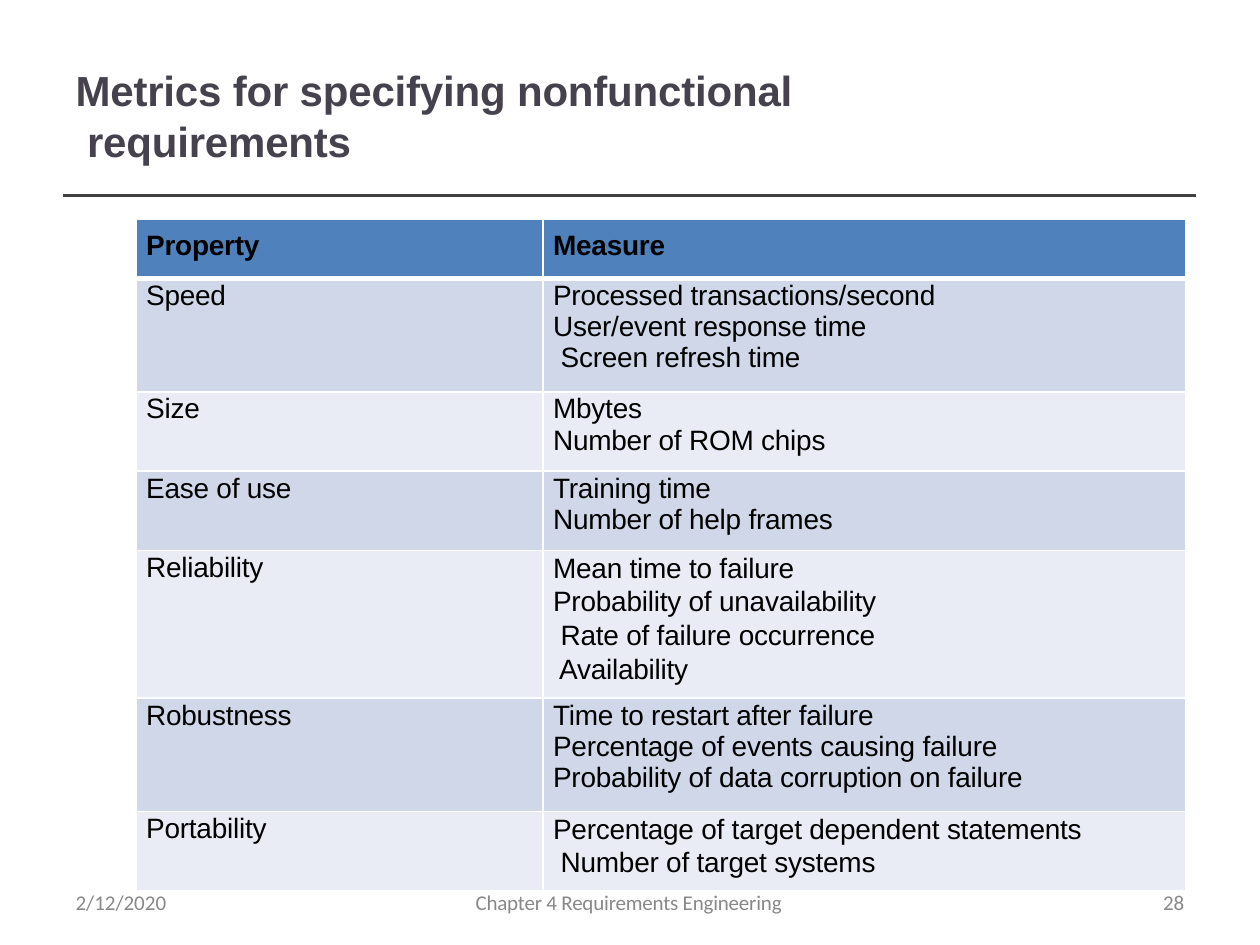
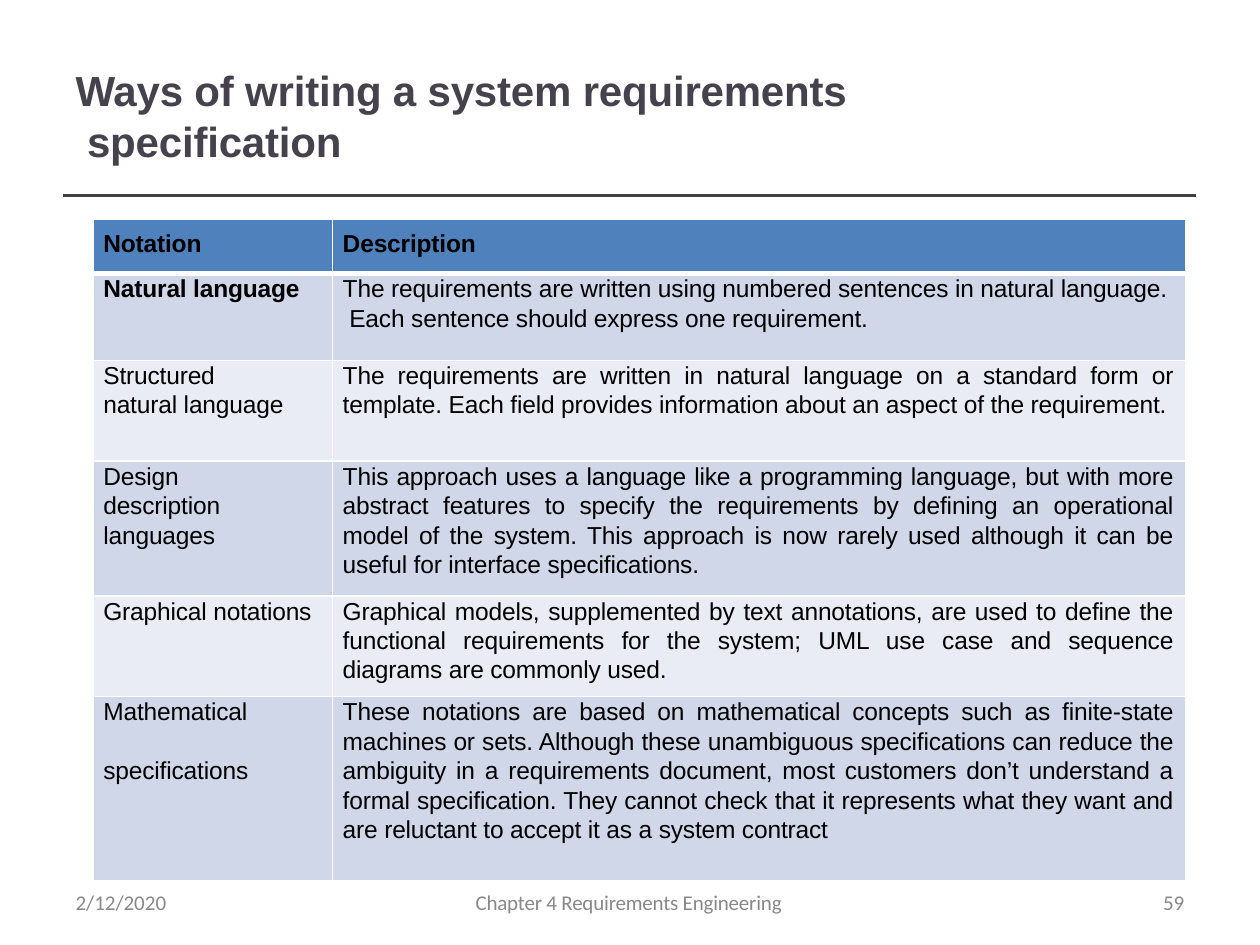
import pptx
import pptx.dml.color
import pptx.enum.shapes
import pptx.enum.text
import pptx.oxml.ns
import pptx.util
from lxml import etree

Inches, Pt = pptx.util.Inches, pptx.util.Pt
RGBColor = pptx.dml.color.RGBColor
PP_ALIGN, MSO_ANCHOR = pptx.enum.text.PP_ALIGN, pptx.enum.text.MSO_ANCHOR
qn = pptx.oxml.ns.qn

TITLE_INK = RGBColor(0x46, 0x42, 0x4D)
RULE_INK = RGBColor(0x40, 0x40, 0x40)
FOOTER_INK = RGBColor(0x88, 0x88, 0x88)
BLACK = RGBColor(0x00, 0x00, 0x00)
WHITE = RGBColor(0xFF, 0xFF, 0xFF)
HEADER_FILL = RGBColor(0x4F, 0x81, 0xBC)
BAND_FILLS = RGBColor(0xD0, 0xD7, 0xE8), RGBColor(0xE9, 0xEC, 0xF4)

DATE = "2/12/2020"
CHAPTER = "Chapter 4 Requirements Engineering"

# A cell is a list of paragraphs; "\v" breaks a line inside a paragraph.
METRICS = {
    "title": "Metrics for specifying nonfunctional\v requirements",
    "page": "28",
    "left": 1.08, "columns": [3.23, 5.1],
    "heights": [0.47, 0.9, 0.63, 0.63, 1.17, 0.9, 0.63],
    "size": 16, "first_line": 18.9, "loose_line": 19.2, "next_line": None,
    "bold_cells": [], "justified": False,
    "rows": [
        (["Property"], ["Measure"]),
        (["Speed"], ["Processed transactions/second",
                     "User/event response time\v Screen refresh time"]),
        (["Size"], ["Mbytes", "Number of ROM chips"]),
        (["Ease of use"], ["Training time", "Number of help frames"]),
        (["Reliability"], ["Mean time to failure\vProbability of unavailability"
                           "\v Rate of failure occurrence\v Availability"]),
        (["Robustness"], ["Time to restart after failure",
                          "Percentage of events causing failure"
                          "\vProbability of data corruption on failure"]),
        (["Portability"], ["Percentage of target dependent statements"
                           "\v Number of target systems"]),
    ],
}
NOTATIONS = {
    "title": "Ways of writing a system requirements\v specification",
    "page": "59",
    "left": 0.74, "columns": [1.9, 6.77],
    "heights": [0.43, 0.69, 0.8, 1.07, 0.8, 1.46],
    "size": 14, "first_line": 16.8, "loose_line": 16.8, "next_line": 16.8,
    "bold_cells": ["Natural language"], "justified": True,
    "rows": [
        (["Notation"], ["Description"]),
        (["Natural language"],
         ["The requirements are written using numbered sentences in natural language."
          "\v Each sentence should express one requirement."]),
        (["Structured\vnatural language"],
         ["The requirements are written in natural language on a standard form or "
          "template. Each field provides information about an aspect of the "
          "requirement."]),
        (["Design\vdescription\vlanguages"],
         ["This approach uses a language like a programming language, but with more "
          "abstract features to specify the requirements by defining an operational "
          "model of the system. This approach is now rarely used although it can be "
          "useful for interface specifications."]),
        (["Graphical notations"],
         ["Graphical models, supplemented by text annotations, are used to define the "
          "functional requirements for the system; UML use case and sequence "
          "diagrams are commonly used."]),
        (["Mathematical", "specifications"],
         ["These notations are based on mathematical concepts such as finite-state "
          "machines or sets. Although these unambiguous specifications can reduce "
          "the ambiguity in a requirements document, most customers don’t understand "
          "a formal specification. They cannot check that it represents what they want "
          "and are reluctant to accept it as a system contract"]),
    ],
}

TABLE_TOP = 1.74
RULE_TOP = 1.55
FOOTER_TOP = 7.07


def style(paragraph, size, color, face="Arial", bold=False, tracking=-0.1):
    font = paragraph.font
    font.name, font.size, font.bold = face, Pt(size), bold
    font.color.rgb = color
    paragraph._p.get_or_add_pPr().get_or_add_defRPr().set("spc", str(round(tracking * 100)))


def add_line_of_text(slide, text, left, top, width, height):
    """Add a text box without insets and return its one paragraph."""
    box = slide.shapes.add_textbox(*map(Inches, (left, top, width, height)))
    frame = box.text_frame
    frame.margin_left = frame.margin_right = frame.margin_top = frame.margin_bottom = 0
    frame.word_wrap = True
    frame.vertical_anchor = MSO_ANCHOR.MIDDLE
    frame.text = text
    return frame.paragraphs[0]


def add_frame(slide, title, page):
    """Add the title, the rule under it and the footers."""
    style(add_line_of_text(slide, title, 0.6, 0.5, 8, 0.83), 24, TITLE_INK, bold=True)
    rule = slide.shapes.add_connector(
        pptx.enum.shapes.MSO_CONNECTOR.STRAIGHT,
        *map(Inches, (0.5, RULE_TOP, 9.49, RULE_TOP)))
    rule.line.color.rgb, rule.line.width = RULE_INK, Pt(2)
    etree.SubElement(rule._element.spPr, qn("a:effectLst"))
    footers = [(DATE, 0.6, 0.9, PP_ALIGN.LEFT, 0),
               (CHAPTER, 3.5, 2.98, PP_ALIGN.CENTER, -0.1),
               (page, 8.8, 0.6, PP_ALIGN.RIGHT, 0)]
    for text, left, width, align, tracking in footers:
        footer = add_line_of_text(slide, text, left, FOOTER_TOP, width, 0.2)
        footer.alignment, footer.line_spacing = align, Pt(12.4)
        style(footer, 12, FOOTER_INK, "Calibri", tracking=tracking)


def set_borders(cell, top, bottom):
    properties = cell._tc.get_or_add_tcPr()
    edges = [("a:lnL", 1), ("a:lnR", 1), ("a:lnT", top), ("a:lnB", bottom)]
    for place, (tag, width) in enumerate(edges):
        edge = etree.Element(qn(tag), w=str(Pt(width)))
        fill = etree.SubElement(edge, qn("a:solidFill"))
        etree.SubElement(fill, qn("a:srgbClr"), val=str(WHITE))
        properties.insert(place, edge)


def fill_cell(cell, paragraphs, row, column, content):
    header = row == 0
    wrapped = content["justified"] and column == 1 and not header and "\v" not in paragraphs[0]
    cell.margin_left = Inches(0.08)
    cell.margin_right = Inches(0.1 if wrapped else 0)
    cell.margin_top = Inches(0.09 if header else 0)
    cell.margin_bottom = 0
    cell.fill.solid()
    cell.fill.fore_color.rgb = HEADER_FILL if header else BAND_FILLS[(row - 1) % 2]
    set_borders(cell, top=3 if row == 1 else 1, bottom=3 if header else 1)
    cell.text = "\n".join(paragraphs)
    for order, paragraph in enumerate(cell.text_frame.paragraphs):
        bold = header or paragraphs[0] in content["bold_cells"]
        style(paragraph, content["size"], BLACK, bold=bold)
        if wrapped:
            paragraph.alignment = PP_ALIGN.JUSTIFY
        if header:
            continue
        if order:
            spacing = content["next_line"]
            if spacing:
                paragraph.space_before = Pt(spacing)
        else:
            spacing = content["loose_line" if "\v" in paragraphs[0] else "first_line"]
        if spacing:
            paragraph.line_spacing = Pt(spacing)


def add_banded_table(slide, content):
    rows, columns, heights = content["rows"], content["columns"], content["heights"]
    table = slide.shapes.add_table(
        len(rows), len(columns), Inches(content["left"]), Inches(TABLE_TOP),
        Inches(sum(columns)), Inches(sum(heights))).table
    for column, width in zip(table.columns, columns):
        column.width = Inches(width)
    for row, height in zip(table.rows, heights):
        row.height = Inches(height)
    for row, cells in enumerate(rows):
        for column, paragraphs in enumerate(cells):
            fill_cell(table.cell(row, column), paragraphs, row, column, content)


def main():
    deck = pptx.Presentation()
    deck.slide_width, deck.slide_height = Inches(10), Inches(7.5)
    for content in (METRICS, NOTATIONS):
        slide = deck.slides.add_slide(deck.slide_layouts[6])
        add_frame(slide, content["title"], content["page"])
        add_banded_table(slide, content)
    deck.save("out.pptx")


if __name__ == "__main__":
    main()
